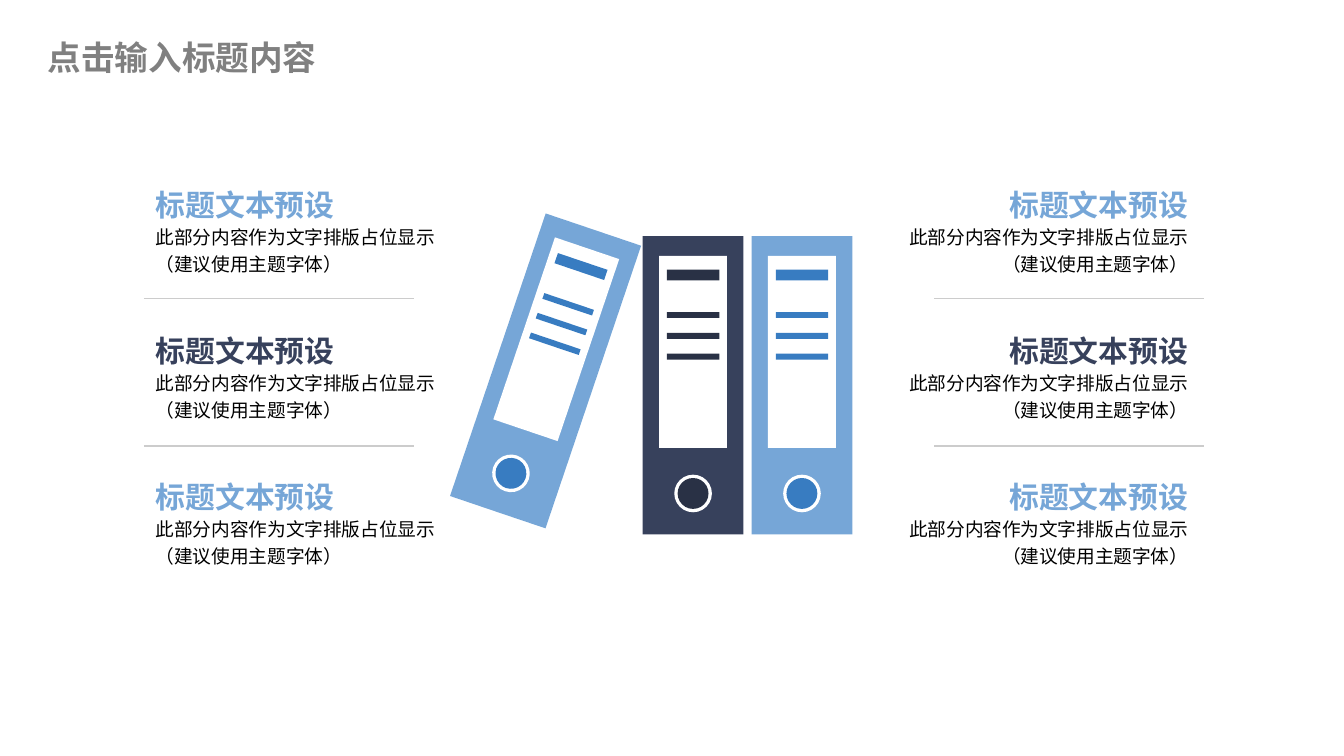
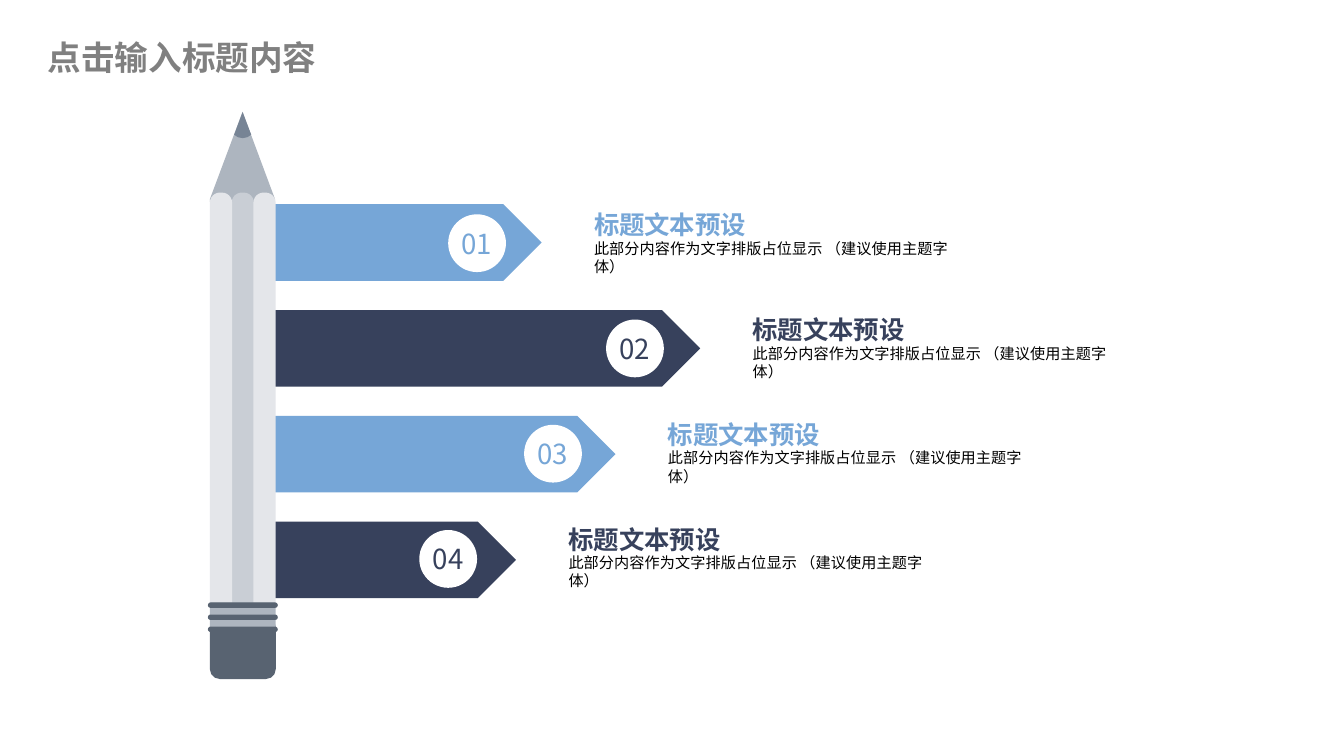
from copy import deepcopy
from math import cos, radians, sin

from lxml.etree import SubElement
from pptx import Presentation
from pptx.dml.color import RGBColor
from pptx.enum.shapes import MSO_CONNECTOR as Link, MSO_SHAPE as Kind
from pptx.enum.text import MSO_ANCHOR as Anchor, PP_ALIGN as Align
from pptx.oxml.ns import qn
from pptx.util import Inches, Pt

# Shared look
FONT = "Noto Sans CJK SC"
SKY, NAVY, BLUE, INK = "76A6D7", "37415C", "387CC1", "293145"
WHITE, BLACK, GREY, RULE = "FFFFFF", "000000", "808080", "CCCCCC"
SLATE, STEEL, LEAD, MIST, PALE = "586371", "ADB5BF", "778495", "C9CED5", "E4E6EA"

TITLE = "点击输入标题内容"
HEAD = "标题文本预设"
BODY = "此部分内容作为文字排版占位显示"
HINT = "（建议使用主题字体）"


def grid(n):
    """Length of n grid cells; the slide is 100 columns by 56.25 rows."""
    return Inches(n / 10)


def color(code):
    return RGBColor.from_string(code)


# Basic parts
def paint(shape, fill):
    shape.shadow.inherit = False
    shape.fill.solid()
    shape.fill.fore_color.rgb = color(fill)
    shape.line.fill.background()
    return shape


def block(slide, kind, box, fill, curve=None):
    shape = slide.shapes.add_shape(kind, *map(grid, box))
    if curve is not None:
        shape.adjustments[0] = curve
    return paint(shape, fill)


def outline(slide, x, y, points, fill):
    spots = [(grid(x + dx), grid(y + dy)) for dx, dy in points]
    path = slide.shapes.build_freeform(*spots[0])
    path.add_line_segments(spots[1:], close=True)
    paint(path.convert_to_shape(), fill)


def rule(slide, x, y, width):
    line = slide.shapes.add_connector(
        Link.STRAIGHT, grid(x), grid(y), grid(x + width), grid(y))
    line.line.color.rgb = color(RULE)
    line.line.width = Pt(0.75)
    SubElement(line._element.spPr, qn("a:effectLst"))


def write(shape, words, size, ink, bold=False, align=Align.LEFT,
          anchor=Anchor.TOP, inset=(0, 0, 0, 0), wrap=True, space=None):
    frame = shape.text_frame
    frame.word_wrap = wrap
    frame.vertical_anchor = anchor
    (frame.margin_left, frame.margin_top,
     frame.margin_right, frame.margin_bottom) = map(grid, inset)
    para = frame.paragraphs[0]
    para.text = words
    para.alignment = align
    para.line_spacing = space
    for run in para.runs:
        font = run.font
        font.name, font.size, font.bold = FONT, Pt(size), bold
        font.color.rgb = color(ink)
        SubElement(run._r.get_or_add_rPr(), qn("a:ea"), typeface=FONT)
    # Line breaks take the format of their text
    for gap in para._p.findall(qn("a:br")):
        gap.insert(0, deepcopy(para.runs[0]._r.rPr))


def label(slide, box, words, **style):
    write(slide.shapes.add_textbox(*map(grid, box)), words, **style)


def title(slide):
    label(slide, (3.55, 2.15, 23.3, 4.2), TITLE, size=18, ink=GREY, bold=True,
          anchor=Anchor.MIDDLE, inset=(0, 0.5, 0, 0.5))


# Slide of binders
def binder(slide, box, cover, mark, tilt=0):
    left, top, width, height = box
    turn = radians(tilt)
    bars = [(1.8, 5.65 + 1.55 * i, 3.9, 0.45) for i in range(3)]
    parts = [
        (Kind.RECTANGLE, (0, 0, width, height), cover),
        (Kind.RECTANGLE, (1.22, 1.47, 5.05, 14.3), WHITE),
        *((Kind.RECTANGLE, bar, mark) for bar in bars),
        (Kind.RECTANGLE, (1.8, 2.5, 3.9, 0.8), mark),
        (Kind.OVAL, (2.35, 17.75, 2.8, 2.8), WHITE),
        (Kind.OVAL, (2.6, 18, 2.3, 2.3), mark),
    ]
    for kind, (x, y, w, h), fill in parts:
        # Turn each part about the middle of the cover
        dx, dy = x + (w - width) / 2, y + (h - height) / 2
        mid_x = left + width / 2 + dx * cos(turn) - dy * sin(turn)
        mid_y = top + height / 2 + dx * sin(turn) + dy * cos(turn)
        shape = block(slide, kind, (mid_x - w / 2, mid_y - h / 2, w, h), fill)
        shape.rotation = tilt


def column(slide, x, y, width, align, shift):
    for i, ink in enumerate((SKY, NAVY, SKY)):
        row = y + 10.87 * i
        label(slide, (x, row + 2.55, width, 4.2), f"{BODY}\n{HINT}",
              size=10, ink=BLACK, align=align, space=1.2)
        label(slide, (x, row, width, 2.5), HEAD,
              size=16, ink=ink, bold=True, align=align, wrap=False)
    for i in range(2):
        rule(slide, x + shift, y + 8.3 + 11 * i, 20.1)


def binders(slide):
    binder(slide, (55.92, 17.57, 7.5, 22.2), SKY, BLUE)
    binder(slide, (47.82, 17.57, 7.5, 22.2), NAVY, INK)
    binder(slide, (36.85, 16.5, 7.5, 22.2), SKY, BLUE, tilt=18.7)
    column(slide, 67, 13.9, 21.4, Align.RIGHT, 2.5)
    column(slide, 11.6, 13.9, 21.4, Align.LEFT, -0.9)
    title(slide)


# Slide of the pencil
def flag(slide, x, y, width, ink):
    block(slide, Kind.PENTAGON, (x, y, width, 5.7), ink)


def badge(slide, x, y, words, ink):
    disc = block(slide, Kind.OVAL, (x, y, 4.3, 4.3), WHITE)
    write(disc, words, size=14.8, ink=ink, align=Align.CENTER,
          anchor=Anchor.MIDDLE, inset=(1, 0.5, 1, 0.5), wrap=False)


def note(slide, x, y, ink):
    label(slide, (x, y, 32.5, 2), HEAD, size=13.6, ink=ink, bold=True,
          anchor=Anchor.BOTTOM, inset=(3.9, 0, 0, 0), wrap=False)
    label(slide, (x, y + 2, 32.5, 2.6), f"{BODY} {HINT}", size=8.1, ink=BLACK,
          anchor=Anchor.MIDDLE, inset=(3.9, 0, 0.8, 0))


def pencil(slide, x, y):
    # Eraser and sharpened wood
    block(slide, Kind.ROUNDED_RECTANGLE, (x, y + 37.6, 4.9, 4.6), SLATE, 0.16)
    outline(slide, x, y, [(0, 6.5), (2.43, 0), (4.85, 6.5), (4, 7.3),
                          (0, 6.7)], STEEL)
    # Barrel
    for step, fill in ((1, MIST), (2, PALE), (0, PALE)):
        block(slide, Kind.ROUNDED_RECTANGLE,
              (x + 1.62 * step, y + 6, 1.65, 31.2), fill, 0.45)
    # Lead
    outline(slide, x, y, [(2.43, 0), (1.8, 1.7), (2.08, 1.88), (2.43, 1.95),
                          (2.78, 1.88), (3.07, 1.7)], LEAD)
    # Metal sleeve and its rings
    block(slide, Kind.RECTANGLE, (x, y + 36.5, 4.9, 2.1), STEEL)
    for i in range(3):
        block(slide, Kind.ROUNDED_RECTANGLE,
              (x - 0.15, y + 38.3 - 0.9 * i, 5.2, 0.4), SLATE, 0.5)


def flags(slide):
    # Flag length and place of its badge
    rows = [(22.6, 15.65), (34.4, 27.4), (28.1, 21.3), (20.7, 13.5)]
    left = 17.7
    inks = (SKY, NAVY) * 2
    for i, (width, spot) in enumerate(rows):
        flag(slide, left, 15.2 + 7.87 * i, width, inks[i])
        badge(slide, left + spot, 15.95 + 7.83 * i, f"{i + 1:02}", inks[i])
        note(slide, left + width, 15.85 + 7.8 * i, inks[i])
    pencil(slide, 15.62, 8.33)
    title(slide)


def main():
    deck = Presentation()
    deck.slide_width, deck.slide_height = grid(100), grid(56.25)
    for build in (binders, flags):
        build(deck.slides.add_slide(deck.slide_layouts[6]))
    deck.save("out.pptx")


if __name__ == "__main__":
    main()
